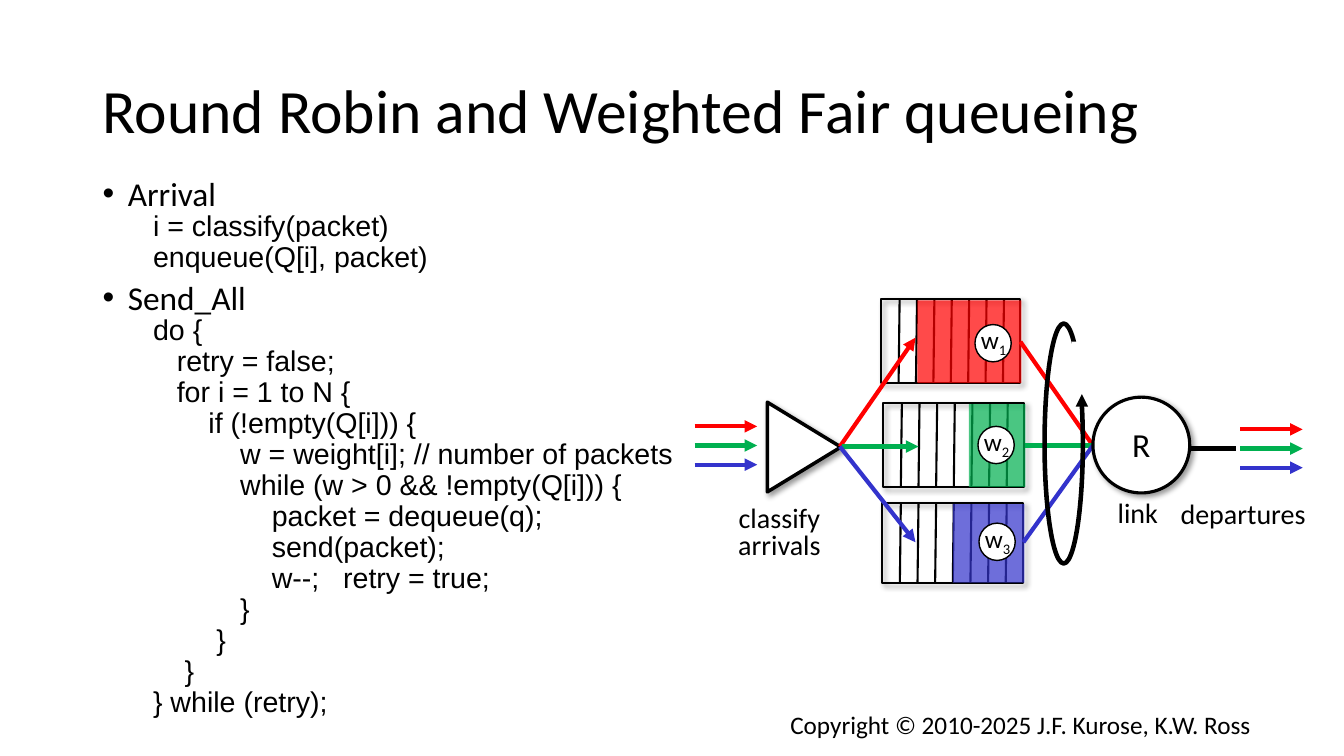
"""Build the round robin and weighted fair queueing slide."""
from dataclasses import dataclass

from lxml import etree
from pptx import Presentation
from pptx.dml.color import RGBColor
from pptx.enum.shapes import MSO_CONNECTOR, MSO_SHAPE
from pptx.enum.text import MSO_ANCHOR, PP_ALIGN
from pptx.oxml.ns import qn
from pptx.util import Pt

SCALE = 9144
STRAIGHT = MSO_CONNECTOR.STRAIGHT
RECTANGLE, OVAL, TRIANGLE = MSO_SHAPE.RECTANGLE, MSO_SHAPE.OVAL, MSO_SHAPE.ISOSCELES_TRIANGLE
LEFT, CENTER = PP_ALIGN.LEFT, PP_ALIGN.CENTER
TOP, MIDDLE = MSO_ANCHOR.TOP, MSO_ANCHOR.MIDDLE


@dataclass(frozen=True)
class Theme:
    """Colours, fonts and type sizes of the slide."""
    black: str = "000000"
    white: str = "FFFFFF"
    red: str = "FF0000"
    green: str = "00B050"
    blue: str = "3333CC"
    text_font: str = "Calibri"
    code_font: str = "Arial"
    title: float = 44
    heading: float = 23.8
    code: float = 20.4
    node: float = 24
    label: float = 20
    small: float = 18


THEME = Theme()
FLOWS = (THEME.red, THEME.green, THEME.blue)

LISTINGS = (
    ("Arrival", """i = classify(packet)
enqueue(Q[i], packet)"""),
    ("Send_All", """do {
   retry = false;
   for i = 1 to N {
       if (!empty(Q[i])) {
           w = weight[i]; // number of packets
           while (w > 0 && !empty(Q[i])) {
               packet = dequeue(q);
               send(packet);
               w--;   retry = true;
           }
        }
    }
} while (retry);"""),
)

QUEUES = (
    ((874, 297, 138, 83), 910, (967, 322)),
    ((876, 400, 140, 83), 961, (970, 423)),
    ((875, 499, 140, 79), 945, (971, 519)),
)
INTO_QUEUES = ((833, 443, 908, 335), (835, 443, 911, 443), (833, 443, 908, 538))
OUT_OF_QUEUES = ((1012, 339), (1017, 442), (1015, 538))


def px(length):
    """Turn slide pixels into EMU."""
    return round(length * SCALE)


def set_font(para, size, name=THEME.text_font):
    """Set the font of a whole paragraph."""
    para.font.size = Pt(size)
    para.font.name = name
    para.font.color.rgb = RGBColor.from_string(THEME.black)


def add_text(page, box, lines, size, align=LEFT, spacing=1.0, wrap=False, anchor=TOP):
    """Add a text box with one paragraph per line and return its frame."""
    frame = page.shapes.add_textbox(*map(px, box)).text_frame
    frame.word_wrap = wrap
    frame.vertical_anchor = anchor
    for number, line in enumerate(lines):
        para = frame.paragraphs[0] if number == 0 else frame.add_paragraph()
        para.text = line
        para.alignment = align
        para.line_spacing = spacing
        set_font(para, size)
    return frame


def add_line(page, ends, colour=THEME.black, width=3, arrow=False):
    """Draw a straight line, with an arrowhead at its end if asked."""
    line = page.shapes.add_connector(STRAIGHT, *map(px, ends))
    line.line.color.rgb = RGBColor.from_string(colour)
    line.line.width = Pt(width)
    properties = line._element.spPr
    if arrow:
        etree.SubElement(properties.get_or_add_ln(), qn("a:tailEnd"), type="triangle")
    etree.SubElement(properties, qn("a:effectLst"))


def add_shape(page, kind, box, fill=None, width=0, opacity=100, shadow=False):
    """Draw a preset shape; no fill or zero width leaves that part out."""
    shape = page.shapes.add_shape(kind, *map(px, box))
    shape.shadow.inherit = False
    if fill:
        shape.fill.solid()
        shape.fill.fore_color.rgb = RGBColor.from_string(fill)
    else:
        shape.fill.background()
    if width:
        shape.line.color.rgb = RGBColor.from_string(THEME.black)
        shape.line.width = Pt(width)
    else:
        shape.line.fill.background()
    properties = shape._element.spPr
    if opacity < 100:
        colour = properties.find(qn("a:solidFill")).find(qn("a:srgbClr"))
        etree.SubElement(colour, qn("a:alpha"), val=str(opacity * 1000))
    if shadow:
        outer = etree.SubElement(
            properties.find(qn("a:effectLst")), qn("a:outerShdw"),
            blurRad=str(Pt(4)), dist=str(Pt(3)), dir=str(45 * 60000),
            algn="tl", rotWithShape="0")
        colour = etree.SubElement(outer, qn("a:srgbClr"), val=THEME.black)
        etree.SubElement(colour, qn("a:alpha"), val="40000")
    return shape


def set_indent(para, margin, first=0, bullet=None):
    """Set the left margin, first-line indent and optional bullet."""
    properties = para._p.get_or_add_pPr()
    properties.set("marL", str(px(margin)))
    properties.set("indent", str(px(first)))
    if bullet:
        etree.SubElement(properties, qn("a:buFont"), typeface=THEME.code_font)
        etree.SubElement(properties, qn("a:buChar"), char=bullet)


def add_listings(page):
    """Write the bulleted headings with their code lines."""
    frame = page.shapes.add_textbox(*map(px, (92, 176, 677, 549))).text_frame
    frame.word_wrap = True
    for number, (heading, code) in enumerate(LISTINGS):
        para = frame.add_paragraph() if number else frame.paragraphs[0]
        para.text = heading
        set_indent(para, 25, -25, "•")
        para.line_spacing = Pt(22.14)
        para.space_before = Pt(9.5 if number else 0)
        set_font(para, THEME.heading)
        for row, line in enumerate(code.split("\n")):
            para = frame.add_paragraph()
            para.text = line
            set_indent(para, 50)
            para.line_spacing = Pt(22.14 if row else 20.5)
            set_font(para, THEME.code, THEME.code_font)


def add_queue(page, frame, fill_left, colour):
    """Draw a queue of eight slots, filled from fill_left to its right edge."""
    left, top, width, height = frame
    add_shape(page, RECTANGLE, frame, width=1.5, shadow=True)
    for slot in range(1, 8):
        x = left + slot * width / 8
        add_line(page, (x + 1, top, x, top + height), width=1.5)
    filled = (fill_left, top + 1, left + width + 1 - fill_left, height - 1)
    add_shape(page, RECTANGLE, filled, colour, opacity=71)


def add_weight(page, number, left, top):
    """Draw a round badge with a subscripted weight."""
    add_shape(page, OVAL, (left, top, 36, 37), THEME.white, 1)
    frame = add_text(page, (left - 4, top - 5, 47, 40), ["w"], THEME.small)
    span = frame.paragraphs[0].add_run()
    span.text = str(number)
    span._r.get_or_add_rPr().set("baseline", "-25000")


def add_flows(page, left, top):
    """Draw three short arrows, one for each flow."""
    for number, colour in enumerate(FLOWS):
        y = top + 19 * number
        add_line(page, (left, y, left + 62, y), colour, arrow=True)


def add_diagram(page):
    """Draw the classifier, the queues, the scheduler and the link."""
    add_line(page, (1176, 445, 1226, 445))
    for (frame, fill_left, _), colour in zip(QUEUES, FLOWS):
        add_queue(page, frame, fill_left, colour)
    add_shape(page, TRIANGLE, (753, 407, 89, 73), THEME.white, 2.5, shadow=True).rotation = 90
    add_flows(page, 689, 423)
    add_flows(page, 1230, 426)
    add_text(page, (719, 498, 108, 65), ["classify", "arrivals"], THEME.label, CENTER, 0.8)
    add_text(page, (1160, 494, 146, 38), ["departures"], THEME.label, CENTER, 0.8)
    for ends, start, colour in zip(INTO_QUEUES, OUT_OF_QUEUES, FLOWS):
        add_line(page, ends, colour, arrow=True)
        add_line(page, (*start, 1084, 442), colour)
    add_shape(page, OVAL, (1084, 394, 96, 95), THEME.white, 2.25, shadow=True)
    add_text(page, (1098, 493, 61, 38), ["link"], THEME.label, CENTER, 0.8)
    add_text(page, (1113, 423, 38, 43), ["R"], THEME.node, CENTER, 0.8)
    add_shape(page, OVAL, (1036, 321, 38, 238), width=3.25)
    add_shape(page, RECTANGLE, (1063, 339, 21, 64), THEME.white)
    add_line(page, (1073, 419, 1073, 391), arrow=True)
    for number, (_, _, badge) in enumerate(QUEUES, 1):
        add_weight(page, number, *badge)


def main():
    """Build and save the slide."""
    deck = Presentation()
    deck.slide_width, deck.slide_height = px(1333), px(750)
    page = deck.slides.add_slide(deck.slide_layouts[6])
    add_text(page, (92, 40, 1150, 145), ["Round Robin and Weighted Fair queueing"],
             THEME.title, spacing=0.9, wrap=True, anchor=MIDDLE)
    add_listings(page)
    add_diagram(page)
    add_text(page, (774, 699, 490, 40), ["Copyright © 2010-2025 J.F. Kurose, K.W. Ross"],
             THEME.small, wrap=True)
    deck.save("out.pptx")


if __name__ == "__main__":
    main()
